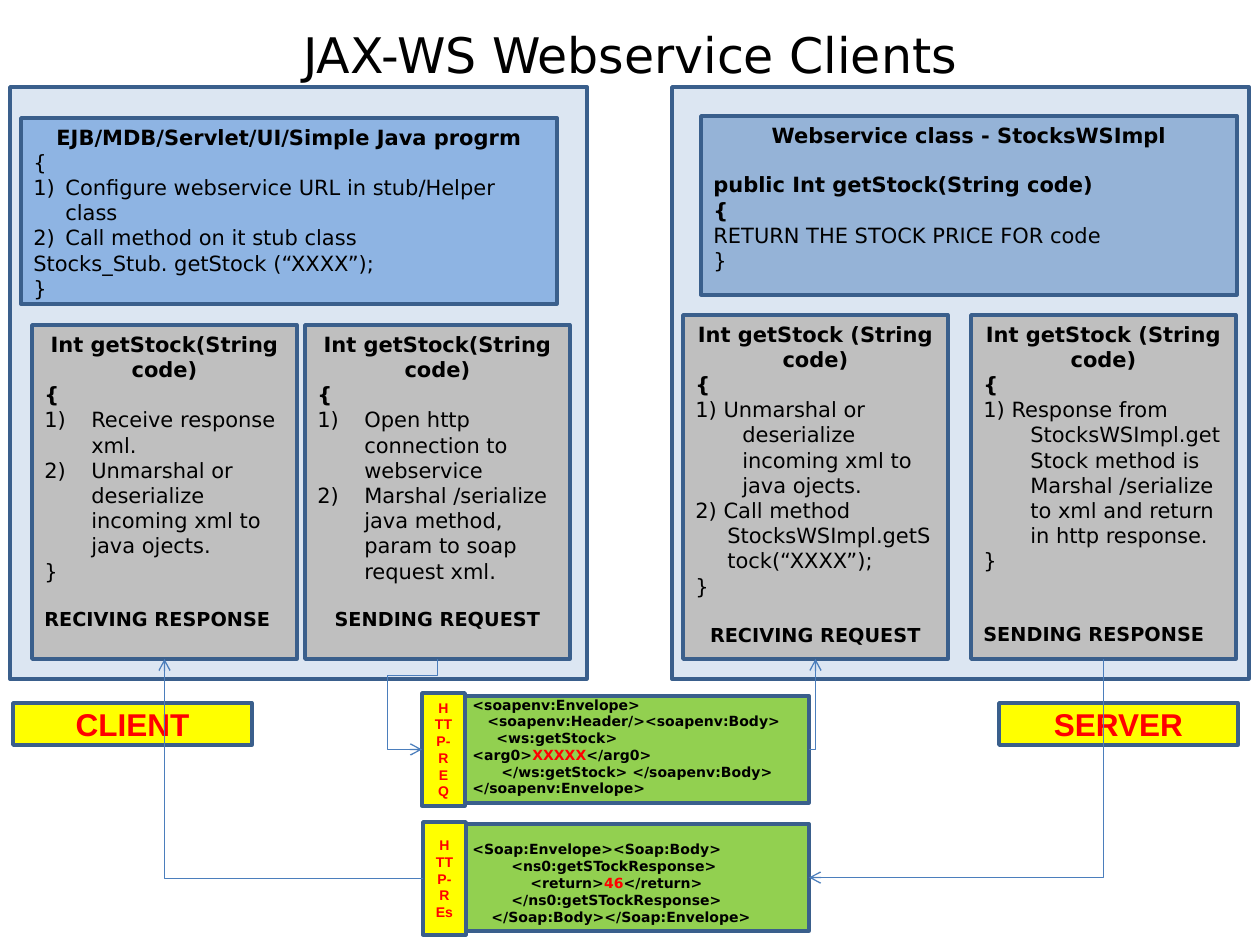
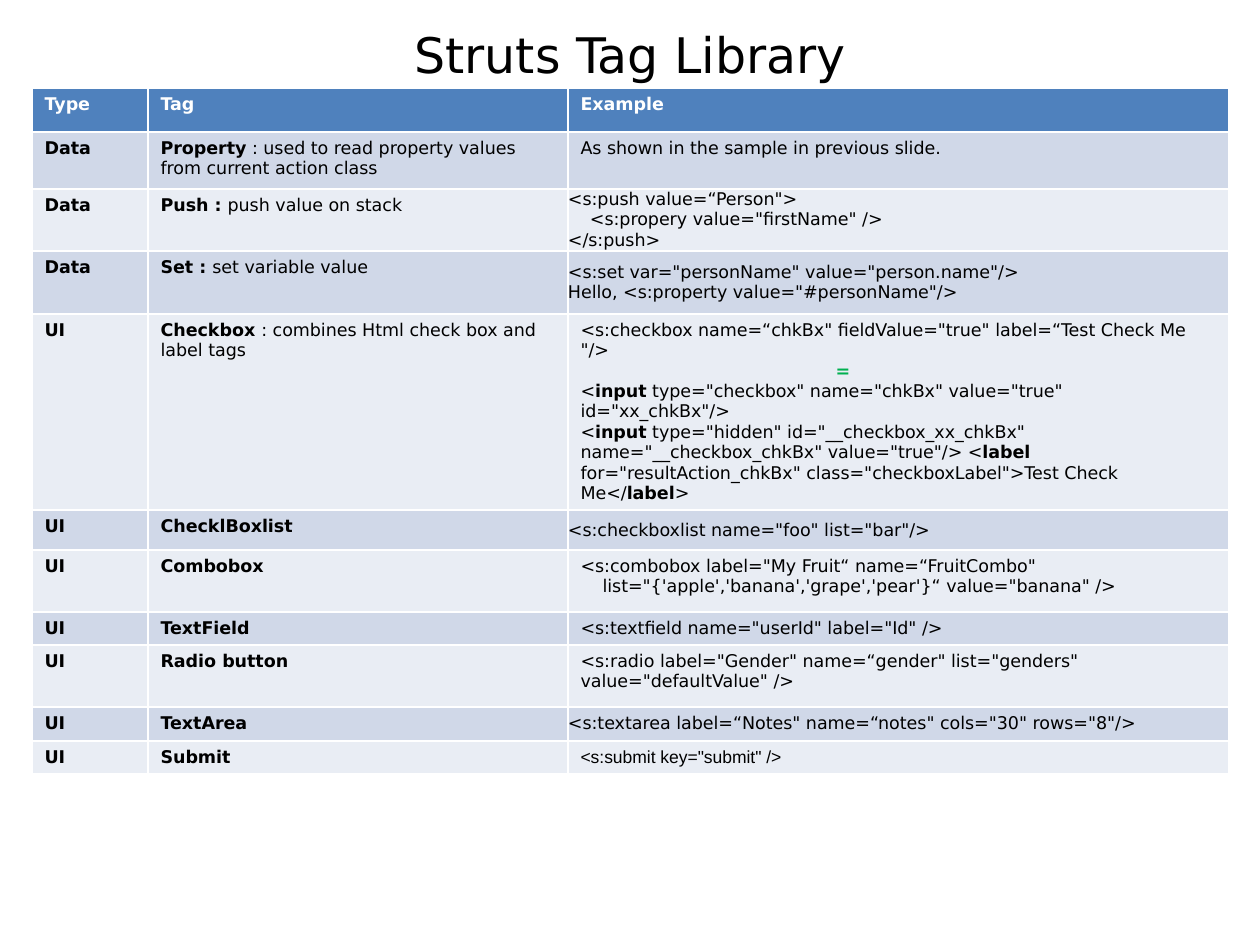
from lxml import etree
from pptx import Presentation
from pptx import util as u
from pptx.dml.color import RGBColor
from pptx.enum import shapes, text
from pptx.oxml.ns import qn

PX = 914400 / 126
BODY_FONT, LABEL_FONT = "DejaVu Sans", "Arial"
BLACK, WHITE, RED, GREEN = "000000", "FFFFFF", "FF0000", "00B050"
EDGE, ARROW = "3A5F8C", "4B7EBC"
PANEL, CLIENT_CODE, SERVICE_CODE = "DCE6F2", "8EB4E3", "95B3D7"
STUB, ENVELOPE, LABEL = "BFBFBF", "92D050", "FFFF00"
HEADER, BANDS = "4F81BD", ("D0D8E8", "E9EDF4")
TITLE_AREA = (63, 5, 1134, 98)

# Paragraph styles: left and first-line offsets in px, sizes and gaps in points.
STYLES = {
    "title": dict(size=28, center=True),
    "head": dict(bold=True, center=True),
    "bold": dict(bold=True),
    "signature": dict(bold=True, before=14),
    "plain": dict(),
    "numbered": dict(left=47, numbered=True),
    "numbered tight": dict(left=32, numbered=True),
    "hanging": dict(left=47),
    "hanging tight": dict(left=32),
    "caption": dict(size=11, bold=True, before=14),
    "centered caption": dict(size=11, bold=True, before=14, center=True),
    "low caption": dict(size=11, bold=True, before=28),
    "code": dict(size=8, bold=True, accent=RED),
    "place": dict(size=18, bold=True, center=True, color=RED, font=LABEL_FONT),
    "tag": dict(size=8, bold=True, center=True, color=RED, font=LABEL_FONT),
    "header": dict(size=10, bold=True, color=WHITE),
    "cell": dict(size=10, accent=GREEN),
    "arial cell": dict(size=10, font=LABEL_FONT),
}

# Part: (left, top, width, height), fill, anchor, paragraphs.
# A paragraph is (style, text[, first-line offset]); *bold*, ^accent^.
CLIENTS_TITLE = "JAX-WS Webservice Clients"
PARTS = {
    "client": ((13, 703, 239, 42), LABEL, "middle", [("place", "CLIENT")]),
    "client panel": ((10, 87, 577, 592), PANEL, "top", []),
    "server panel": ((672, 87, 577, 592), PANEL, "top", []),
    "client program": ((21, 118, 536, 186), CLIENT_CODE, "top", [
        ("head", "EJB/MDB/Servlet/UI/Simple Java progrm"),
        ("plain", "{"),
        ("numbered tight", "Configure webservice URL in stub/Helper class"),
        ("numbered tight", "Call method on it stub class"),
        ("plain", "Stocks_Stub. getStock (“XXXX”);"),
        ("plain", "}")]),
    "service class": ((701, 116, 536, 179), SERVICE_CODE, "top", [
        ("head", "Webservice class - StocksWSImpl"),
        ("signature", "public Int getStock(String code)"),
        ("bold", "{"),
        ("plain", "RETURN THE STOCK PRICE FOR code"),
        ("plain", "}")]),
    "receiving response": ((32, 325, 265, 334), STUB, "top", [
        ("head", "Int getStock(String code)"),
        ("bold", "{"),
        ("numbered", "Receive response xml."),
        ("numbered", "Unmarshal or deserialize incoming xml to java ojects."),
        ("plain", "}"),
        ("caption", "RECIVING RESPONSE")]),
    "sending request": ((305, 325, 265, 334), STUB, "top", [
        ("head", "Int getStock(String code)"),
        ("bold", "{"),
        ("numbered", "Open http connection to webservice"),
        ("numbered", "Marshal /serialize java method, param to soap request xml."),
        ("centered caption", "SENDING REQUEST")]),
    "receiving request": ((683, 315, 265, 344), STUB, "top", [
        ("head", "Int getStock (String code)"),
        ("bold", "{"),
        ("hanging", "1) Unmarshal or deserialize incoming xml to java ojects."),
        ("hanging tight", "2) Call method StocksWSImpl.getStock(“XXXX”);"),
        ("plain", "}"),
        ("centered caption", "RECIVING REQUEST")]),
    "sending response": ((971, 315, 265, 344), STUB, "top", [
        ("head", "Int getStock (String code)"),
        ("bold", "{"),
        ("hanging", "1) Response from StocksWSImpl.getStock method is "
                    "Marshal /serialize to xml and return in http response."),
        ("plain", "}"),
        ("low caption", "SENDING RESPONSE")]),
    "server": ((999, 703, 239, 42), LABEL, "middle", [("place", "SERVER")]),
    "request envelope": ((460, 696, 349, 107), ENVELOPE, "bottom", [
        ("code", "<soapenv:Envelope>"),
        ("code", "<soapenv:Header/><soapenv:Body>", 15),
        ("code", "<ws:getStock>\n<arg0>^XXXXX^</arg0>", 24),
        ("code", "</ws:getStock> </soapenv:Body>", 29),
        ("code", "</soapenv:Envelope>")]),
    "request tag": ((422, 693, 43, 113), LABEL, "middle", [("tag", "HTTP-REQ")]),
    "response envelope": ((460, 824, 349, 107), ENVELOPE, "bottom", [
        ("code", "<Soap:Envelope><Soap:Body>"),
        ("code", "<ns0:getSTockResponse>", 39),
        ("code", "<return>^46^</return>", 58),
        ("code", "</ns0:getSTockResponse>", 39),
        ("code", "</Soap:Body></Soap:Envelope>", 19)]),
    "response tag": ((423, 822, 43, 113), LABEL, "middle", [("tag", "HTTP-REs")]),
}

# From part, site, to part, site, preset, quarter turns, flipped, adjustments
BOTTOM, LEFT, RIGHT = 2, 1, 3
FLOWS = [
    ("request envelope", RIGHT, "receiving request", BOTTOM, "bentConnector2", 0, True, ()),
    ("sending request", BOTTOM, "request tag", LEFT, "bentConnector4", 1, False, (18600, 322200)),
    ("sending response", BOTTOM, "response envelope", RIGHT, "bentConnector2", 1, False, ()),
    ("response tag", LEFT, "receiving response", BOTTOM, "bentConnector2", 2, False, ()),
]

TAGS_TITLE = "Struts Tag Library"
TABLE_CORNER = (32, 88)
COLUMNS = (116, 420, 661)
TAG_HEADER = ("Type", "Tag", "Example")
# Row height, type, tag, whether the example fills the cell to its edges, example
TAG_ROWS = [
    (57, "Data", "*Property* : used to read property values from current action class", False,
     [("cell", "As shown in the sample in previous slide.")]),
    (62, "Data", "*Push : *push value on stack", True,
     [("cell", '<s:push value=“Person">'),
      ("cell", '<s:propery value="firstName" />', 22),
      ("cell", "</s:push>")]),
    (63, "Data", "*Set : *set variable value", True,
     [("cell", '<s:set var="personName" value="person.name"/>'),
      ("cell", 'Hello, <s:property value="#personName"/>')]),
    (196, "UI", "*Checkbox *: combines Html check box and label tags", False,
     [("cell", '<s:checkbox name=“chkBx" fieldValue="true" label=“Test Check Me "/>'),
      ("cell", '*^=^*\n<*input* type="checkbox" name="chkBx" value="true" id="xx_chkBx"/>', 255),
      ("cell", '<*input* type="hidden" id="__checkbox_xx_chkBx" name="__checkbox_chkBx" '
               'value="true"/> <*label* for="resultAction_chkBx" '
               'class="checkboxLabel">Test Check Me</*label*>')]),
    (40, "UI", "*ChecklBoxlist*", True, [("cell", '<s:checkboxlist name="foo" list="bar"/>')]),
    (62, "UI", "*Combobox*", False,
     [("cell", '<s:combobox label="My Fruit“ name=“FruitCombo"'),
      ("cell", "list=\"{'apple','banana','grape','pear'}“ value=\"banana\" />", 22)]),
    (33, "UI", "*TextField*", False, [("cell", '<s:textfield name="userId" label="Id" />')]),
    (62, "UI", "*Radio button*", False,
     [("cell", '<s:radio label="Gender" name=“gender" list="genders" value="defaultValue" />')]),
    (34, "UI", "*TextArea*", True,
     [("cell", '<s:textarea label=“Notes" name=“notes" cols="30" rows="8"/>')]),
    (33, "UI", "*Submit*", False, [("arial cell", '<s:submit key="submit" />')]),
]
HEADER_HEIGHT = 44


def emu(px):
    return u.Emu(round(px * PX))


def paint(fill, color):
    fill.solid()
    fill.fore_color.rgb = RGBColor.from_string(color)


def add_runs(paragraph, marked, style):
    """Split marked text into runs: *bold*, ^accent^, newline as line break."""
    for i, part in enumerate(marked.split("*")):
        for j, piece in enumerate(part.split("^")):
            for k, line in enumerate(piece.split("\n")):
                if k:
                    paragraph.add_line_break()
                if not line:
                    continue
                run = paragraph.add_run()
                run.text = line
                font = run.font
                font.name = style.get("font", BODY_FONT)
                font.size = u.Pt(style.get("size", 12))
                font.bold = style.get("bold", False) or i % 2 == 1
                color = style["accent"] if j % 2 else style.get("color", BLACK)
                font.color.rgb = RGBColor.from_string(color)


def write(frame, paragraphs):
    frame.word_wrap = True
    for n, (name, marked, *first) in enumerate(paragraphs):
        style = STYLES[name]
        paragraph = frame.add_paragraph() if n else frame.paragraphs[0]
        align = text.PP_ALIGN
        paragraph.alignment = align.CENTER if style.get("center") else align.LEFT
        paragraph.space_before = u.Pt(style.get("before", 0))
        left = style.get("left", 0)
        props = paragraph._p.get_or_add_pPr()
        props.set("marL", str(emu(left)))
        props.set("indent", str(emu(first[0] if first else -left)))
        if style.get("numbered"):
            etree.SubElement(props, qn("a:buAutoNum"), type="arabicParenR")
        add_runs(paragraph, marked, style)


def new_slide(deck, title):
    slide = deck.slides.add_slide(deck.slide_layouts[5])
    heading = slide.shapes.title
    heading.left, heading.top, heading.width, heading.height = map(emu, TITLE_AREA)
    heading.text_frame.vertical_anchor = text.MSO_ANCHOR.MIDDLE
    write(heading.text_frame, [("title", title)])
    return slide


def add_part(slide, area, fill, anchor, paragraphs):
    part = slide.shapes.add_shape(shapes.MSO_SHAPE.RECTANGLE, *map(emu, area))
    part.shadow.inherit = False
    paint(part.fill, fill)
    paint(part.line.fill, EDGE)
    part.line.width = u.Pt(2)
    part.text_frame.vertical_anchor = text.MSO_ANCHOR[anchor.upper()]
    write(part.text_frame, paragraphs)
    return part


def add_flow(slide, source, out_site, target, in_site, preset, turns, flipped, adjustments):
    """Join two parts with a bent arrow, turned by quarter turns."""
    flow = slide.shapes.add_connector(shapes.MSO_CONNECTOR.ELBOW, 0, 0, 0, 0)
    flow.begin_connect(source, out_site)
    flow.end_connect(target, in_site)
    left, top = min(flow.begin_x, flow.end_x), min(flow.begin_y, flow.end_y)
    width, height = abs(flow.end_x - flow.begin_x), abs(flow.end_y - flow.begin_y)
    if turns % 2:
        left, top = left + (width - height) // 2, top + (height - width) // 2
        width, height = height, width
    flow.left, flow.top, flow.width, flow.height = left, top, width, height

    props = flow.element.spPr
    frame = props.find(qn("a:xfrm"))
    frame.set("rot", str(turns * 90 * 60000))
    frame.set("flipH", "0")
    frame.set("flipV", str(int(flipped)))
    geometry = props.find(qn("a:prstGeom"))
    geometry.set("prst", preset)
    guides = geometry.find(qn("a:avLst"))
    for n, value in enumerate(adjustments, 1):
        etree.SubElement(guides, qn("a:gd"), name=f"adj{n}", fmla=f"val {value}")

    paint(flow.line.fill, ARROW)
    flow.line.width = u.Pt(0.75)
    etree.SubElement(props.find(qn("a:ln")), qn("a:tailEnd"), type="arrow")
    etree.SubElement(props, qn("a:effectLst"))


def build_clients(deck):
    slide = new_slide(deck, CLIENTS_TITLE)
    parts = {name: add_part(slide, *details) for name, details in PARTS.items()}
    for source, out_site, target, in_site, *bend in FLOWS:
        add_flow(slide, parts[source], out_site, parts[target], in_site, *bend)


def fill_cell(cell, color, paragraphs, flush=False):
    paint(cell.fill, color)
    if flush:
        cell.margin_left = cell.margin_right = cell.margin_top = cell.margin_bottom = 0
        cell.vertical_anchor = text.MSO_ANCHOR.MIDDLE
    write(cell.text_frame, paragraphs)


def build_tags(deck):
    slide = new_slide(deck, TAGS_TITLE)
    heights = [HEADER_HEIGHT] + [row[0] for row in TAG_ROWS]
    area = (*TABLE_CORNER, sum(COLUMNS), sum(heights))
    tags = slide.shapes.add_table(len(heights), len(COLUMNS), *map(emu, area)).table
    for column, width in zip(tags.columns, COLUMNS):
        column.width = emu(width)
    for row, height in zip(tags.rows, heights):
        row.height = emu(height)
    for c, label in enumerate(TAG_HEADER):
        fill_cell(tags.cell(0, c), HEADER, [("header", label)])
    for r, (_, kind, tag, flush, example) in enumerate(TAG_ROWS, 1):
        band = BANDS[(r - 1) % 2]
        fill_cell(tags.cell(r, 0), band, [("cell", f"*{kind}*")])
        fill_cell(tags.cell(r, 1), band, [("cell", tag)])
        fill_cell(tags.cell(r, 2), band, example, flush)


def main():
    deck = Presentation()
    deck.slide_width, deck.slide_height = emu(1260), emu(945)
    build_clients(deck)
    build_tags(deck)
    deck.save("out.pptx")


if __name__ == "__main__":
    main()
